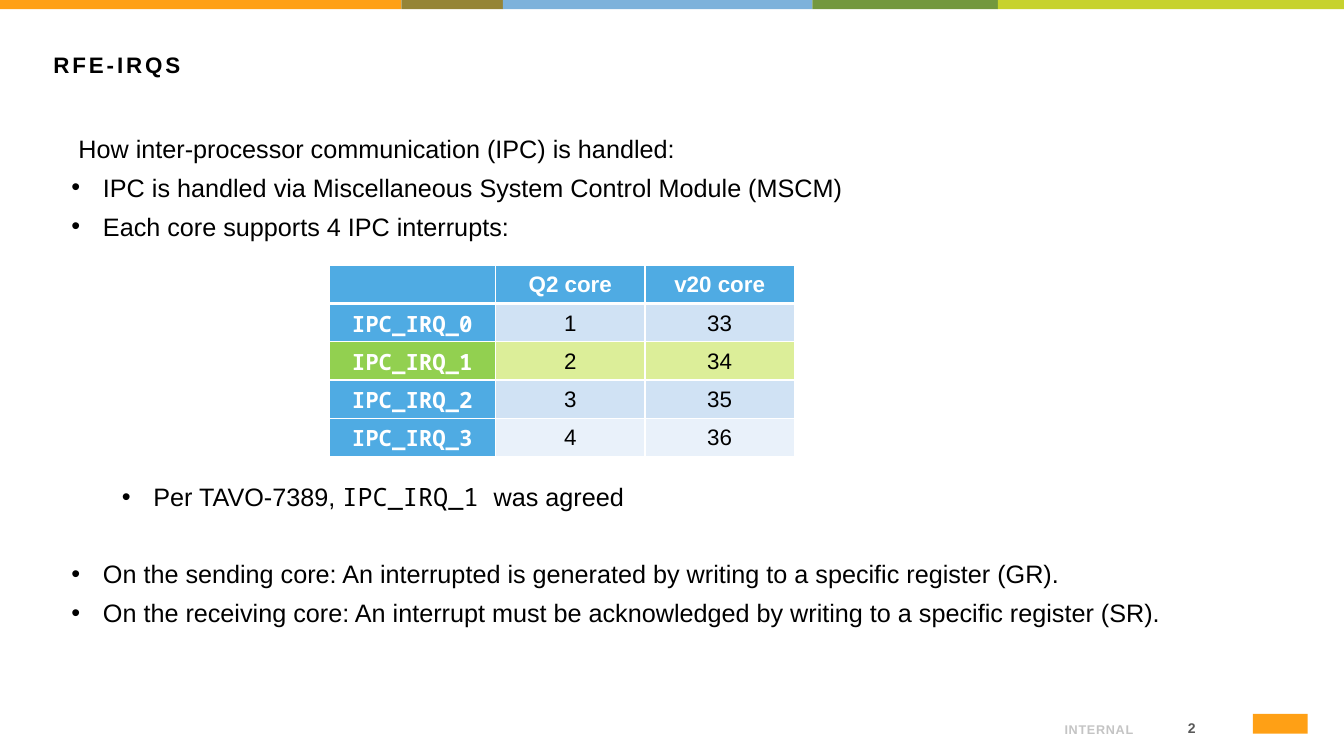
"""Build the RFE-IRQS slide with its interrupt table."""
from dataclasses import dataclass, field
from typing import Any

from lxml import etree
from pptx import Presentation
from pptx.dml import color
from pptx.enum import shapes, text
from pptx.oxml import ns
from pptx import util as u

HUES = {
    "amber": "FFA015", "olive": "958436", "sky": "7DB2DB", "moss": "73983E",
    "lime": "C7D22D", "black": "000000", "white": "FFFFFF", "gray": "595959",
    "pale": "C4C4C4", "head": "4FABE3", "green": "92D050", "ice": "D0E2F4",
    "mint": "DCEE99", "frost": "E9F1FA",
}
SANS, MONO = "Arial", "Noto Sans Mono"
ALIGN, ANCHOR = text.PP_ALIGN, text.MSO_ANCHOR


@dataclass
class Run:
    words: str
    size: float = 18
    hue: str = "black"
    bold: bool = False
    face: str = SANS
    track: float = 0


@dataclass
class Para:
    runs: list[Run]
    form: dict[str, Any] = field(default_factory=dict)
    left: float = 0
    mark: bool = False


@dataclass
class Box:
    area: tuple[float, float, float, float]
    paras: list[Para]
    form: dict[str, Any] = field(default_factory=dict)


@dataclass
class Row:
    cells: tuple[str, str, str]
    first: str
    rest: str


def rgb(hue: str) -> color.RGBColor:
    return color.RGBColor.from_string(HUES[hue])


def apply(item: Any, form: dict[str, Any]) -> None:
    for key, value in form.items():
        setattr(item, key, value)


def write(line: Any, para: Para) -> None:
    apply(line, para.form)
    if para.mark:
        props = line._p.get_or_add_pPr()
        props.set("marL", str(u.Pt(para.left)))
        props.set("indent", str(-u.Pt(22.5)))
        etree.SubElement(props, ns.qn("a:buFont")).set("typeface", SANS)
        etree.SubElement(props, ns.qn("a:buChar")).set("char", "•")
    for part in para.runs:
        run = line.add_run()
        run.text = part.words
        apply(run.font, {"size": u.Pt(part.size), "bold": part.bold, "name": part.face})
        run.font.color.rgb = rgb(part.hue)
        if part.track:
            run._r.get_or_add_rPr().set("spc", str(round(part.track * 100)))


def draw_box(slide: Any, box: Box) -> None:
    frame = slide.shapes.add_textbox(*map(u.Pt, box.area)).text_frame
    apply(frame, {"word_wrap": True} | box.form)
    for i, para in enumerate(box.paras):
        write(frame.add_paragraph() if i else frame.paragraphs[0], para)


def draw_rect(slide: Any, area: tuple[float, float, float, float], hue: str) -> None:
    rect = slide.shapes.add_shape(shapes.MSO_SHAPE.RECTANGLE, *map(u.Pt, area))
    rect.shadow.inherit = False
    rect.fill.solid()
    rect.fill.fore_color.rgb = rgb(hue)
    rect.line.fill.background()


def edge(cell: Any, base: float) -> None:
    props = cell._tc.get_or_add_tcPr()
    for side, width in {"L": 1, "R": 1, "T": 1, "B": base}.items():
        line = etree.SubElement(props, ns.qn(f"a:ln{side}"), w=str(u.Pt(width)))
        fill = etree.SubElement(line, ns.qn("a:solidFill"))
        etree.SubElement(fill, ns.qn("a:srgbClr"), val=HUES["white"])


def draw_table(slide: Any, rows: list[Row]) -> None:
    wide, high = (119, 106.7, 106.7), 27.3
    area = (235, 189.5, sum(wide), high * len(rows))
    table = slide.shapes.add_table(len(rows), len(wide), *map(u.Pt, area)).table
    for col, width in zip(table.columns, wide):
        col.width = u.Pt(width)
    pads = {"margin_left": u.Pt(5), "margin_right": u.Pt(5), "margin_top": 0,
            "margin_bottom": 0, "vertical_anchor": ANCHOR.MIDDLE}
    form = {"alignment": ALIGN.CENTER, "line_spacing": 1.07}
    for r, row in enumerate(rows):
        table.rows[r].height = u.Pt(high)
        for c, words in enumerate(row.cells):
            cell = table.cell(r, c)
            apply(cell, pads)
            edge(cell, 1 if r else 3)
            cell.fill.solid()
            cell.fill.fore_color.rgb = rgb(row.rest if c else row.first)
            bold = r == 0 or c == 0
            run = Run(words, 16, "white" if bold else "black", bold, SANS if c else MONO)
            write(cell.text_frame.paragraphs[0], Para([run] if words else [], form))


def point(*runs: Run, gap: float = 6.2, left: float = 22.5, mark: bool = True) -> Para:
    return Para(list(runs), {"space_before": u.Pt(gap)}, left, mark)


BARS = [("amber", 286.6), ("olive", 72.7), ("sky", 221), ("moss", 132.5), ("lime", 247.2)]

ROWS = [
    Row(("", "Q2 core", "v20 core"), "head", "head"),
    Row(("IPC_IRQ_0", "1", "33"), "head", "ice"),
    Row(("IPC_IRQ_1", "2", "34"), "green", "mint"),
    Row(("IPC_IRQ_2", "3", "35"), "head", "ice"),
    Row(("IPC_IRQ_3", "4", "36"), "head", "frost"),
]

RIGHT = {"alignment": ALIGN.RIGHT}
BOXES = [
    Box((812, 509, 47, 21.6), [Para([Run("2", 10, "gray", True, track=3)], RIGHT)],
        {"vertical_anchor": ANCHOR.MIDDLE, "margin_left": u.Pt(5), "margin_right": u.Pt(5),
         "margin_top": u.Pt(3), "margin_bottom": u.Pt(3)}),
    Box((612.7, 505.4, 203.8, 24.5),
        [Para([Run("INTERNAL", 9, "pale", True, track=0.5)], RIGHT)],
        {"vertical_anchor": ANCHOR.BOTTOM}),
    Box((31, 32.8, 902, 51.8), [Para([Run("RFE-IRQS", 16, bold=True, track=2.1)])]),
    Box((44, 91.5, 873.4, 396.7), [
        point(Run(" How inter-processor communication (IPC) is handled:"), mark=False),
        point(Run("IPC is handled via Miscellaneous System Control Module (MSCM)")),
        point(Run("Each core supports 4 IPC interrupts:")),
        point(Run("Per TAVO-7389, "), Run("IPC_IRQ_1 ", face=MONO), Run("was agreed"),
              gap=171.5, left=58.5),
        point(Run("On the sending core: An interrupted is generated by writing"
                  " to a specific register (GR)."), gap=33.5),
        point(Run("On the receiving core: An interrupt must be acknowledged by writing"
                  " to a specific register (SR).")),
    ]),
]


def main() -> None:
    deck = Presentation()
    apply(deck, {"slide_width": u.Pt(960), "slide_height": u.Pt(540)})
    slide = deck.slides.add_slide(deck.slide_layouts[6])
    left = 0.0
    for hue, width in BARS:
        draw_rect(slide, (left, 0, width, 6.5), hue)
        left += width
    draw_rect(slide, (895, 510, 39, 14), "amber")
    for box in BOXES:
        draw_box(slide, box)
    draw_table(slide, ROWS)
    deck.save("out.pptx")


if __name__ == "__main__":
    main()
